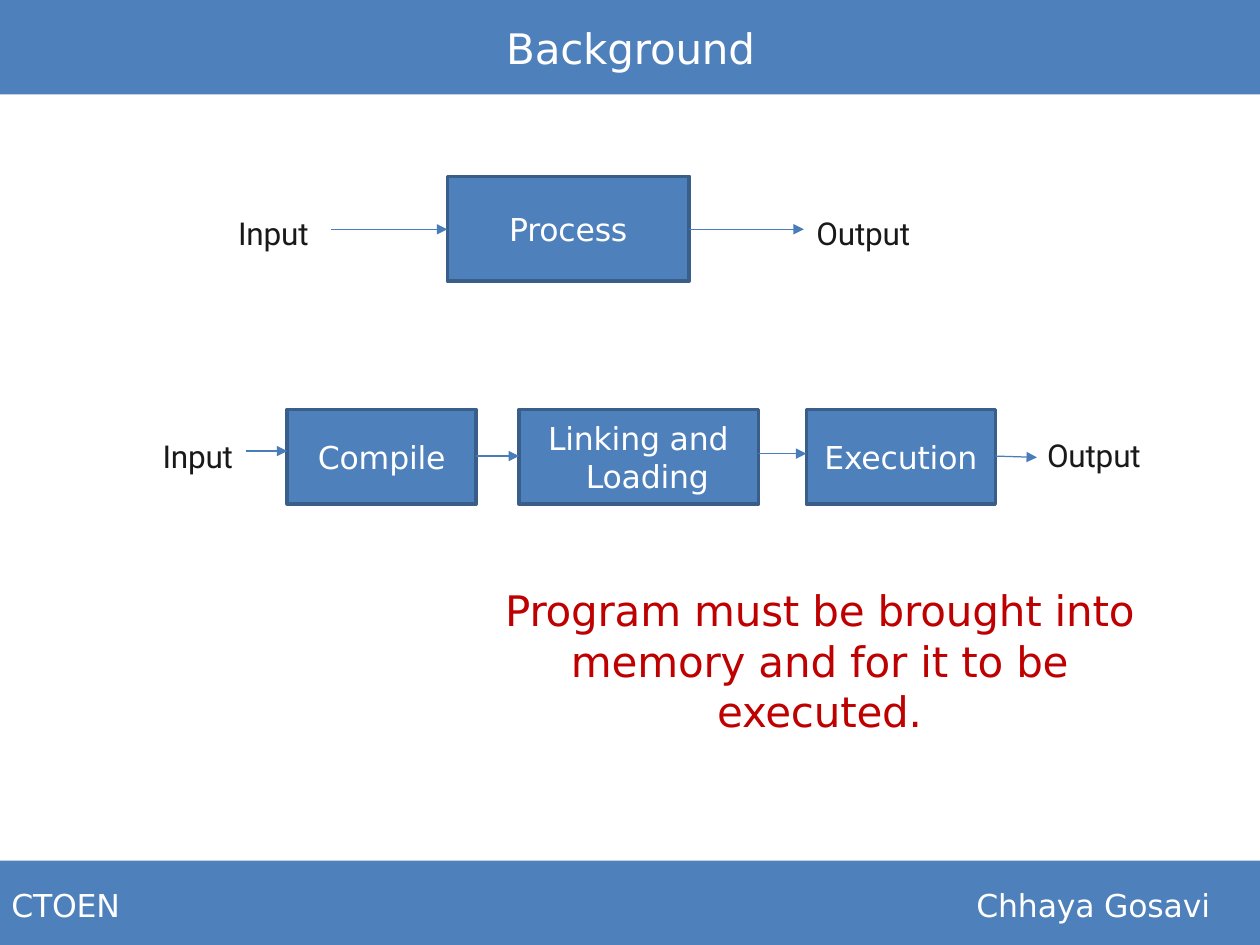
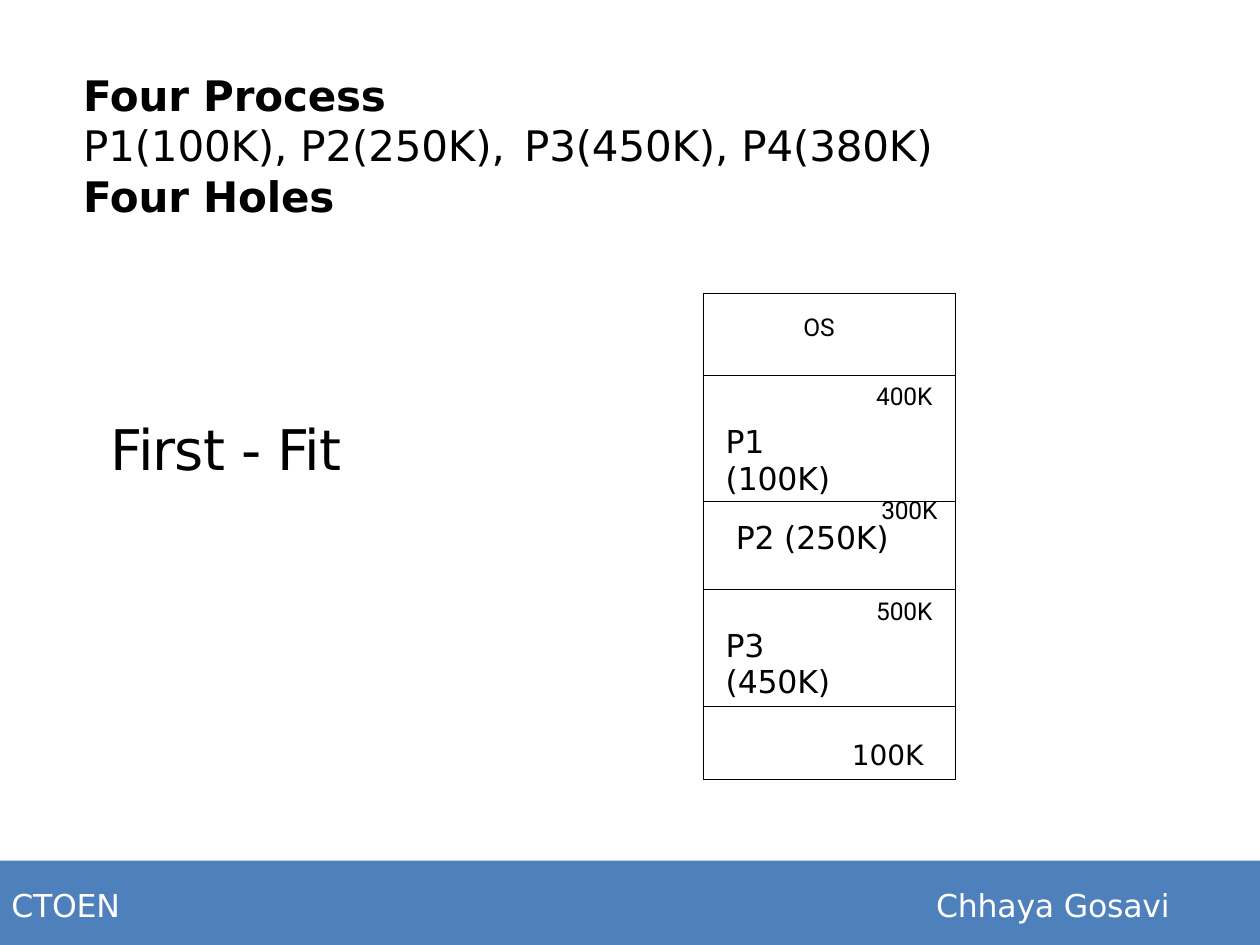
from dataclasses import dataclass

from lxml import etree
from pptx import Presentation
from pptx.dml.color import RGBColor
from pptx.enum import shapes, text
from pptx.oxml import ns
from pptx.util import Inches, Pt

LEFT, CENTER, RIGHT = text.PP_ALIGN.LEFT, text.PP_ALIGN.CENTER, text.PP_ALIGN.RIGHT


@dataclass(frozen=True)
class Theme:
    blue: str = "4E80BC"
    border: str = "395E8A"
    arrow: str = "497DBA"
    white: str = "FFFFFF"
    black: str = "000000"
    label: str = "191919"
    red: str = "BF0000"
    body_font: str = "DejaVu Sans"
    label_font: str = "Roboto"
    display: int = 32
    title: int = 24
    body: int = 18
    small: int = 16
    tag: int = 14


THEME = Theme()


# Shared helpers
def color(value):
    return RGBColor.from_string(value)


def add_xml(parent, tag, **attributes):
    element = etree.SubElement(parent, ns.qn(tag))
    for name, value in attributes.items():
        element.set(name, str(value))
    return element


def style(paragraph, size=THEME.body, fill=THEME.black, font=THEME.body_font,
          bold=False, align=LEFT, spacing=-0.1):
    paragraph.alignment = align
    for run in paragraph.runs:
        run.font.size = Pt(size)
        run.font.name = font
        run.font.bold = bold
        run.font.color.rgb = color(fill)
        run.font._element.set("spc", str(round(spacing * 100)))


def set_indent(paragraph, left, first=0):
    properties = paragraph._p.get_or_add_pPr()
    properties.set("marL", str(Inches(left)))
    properties.set("indent", str(Inches(first)))
    return properties


def clear_margins(frame, top=0):
    frame.margin_left = frame.margin_right = frame.margin_bottom = 0
    frame.margin_top = Inches(top)


def add_text(slide, box, content, wrap=False, **format):
    shape = slide.shapes.add_textbox(*map(Inches, box))
    frame = shape.text_frame
    clear_margins(frame, 0.02)
    frame.word_wrap = wrap
    frame.text = content
    for paragraph in frame.paragraphs:
        set_indent(paragraph, 0.01)
        style(paragraph, **format)
    return frame


def add_box(slide, box, content="", outlined=False):
    shape = slide.shapes.add_shape(shapes.MSO_SHAPE.RECTANGLE, *map(Inches, box))
    shape.shadow.inherit = False
    shape.fill.solid()
    shape.fill.fore_color.rgb = color(THEME.blue)
    if outlined:
        shape.line.color.rgb = color(THEME.border)
        shape.line.width = Pt(2)
    else:
        shape.line.fill.background()
    frame = shape.text_frame
    clear_margins(frame)
    frame.vertical_anchor = text.MSO_ANCHOR.MIDDLE
    if content:
        frame.text = content
        style(frame.paragraphs[0], fill=THEME.white, align=CENTER)
    return frame


def add_arrow(slide, start, end):
    connector = slide.shapes.add_connector(
        shapes.MSO_CONNECTOR.STRAIGHT, *map(Inches, start + end))
    connector.line.color.rgb = color(THEME.arrow)
    connector.line.width = Pt(0.7)
    add_xml(connector.line._get_or_add_ln(), "a:tailEnd", type="triangle")
    add_xml(connector._element.spPr, "a:effectLst")


# Bands
def add_header(slide, box, title):
    left, top, width, height = box
    add_box(slide, box)
    add_text(slide, (left, top + 0.16, width, 0.43), title,
             size=THEME.title, fill=THEME.white, align=CENTER, wrap=True)


def add_footer(slide, box, name_left):
    left, top, width, height = box
    add_box(slide, box)
    for offset, content, text_width in ((0.08, "CTOEN", 0.98),
                                        (name_left, "Chhaya Gosavi", 1.9)):
        add_text(slide, (left + offset, top + 0.18, text_width, 0.32), content,
                 fill=THEME.white)


# Flow diagrams
def add_flow(slide, box, steps, arrows, labels):
    """Steps are (offset, width, text); arrows are (start, end, y, y)."""
    left, top, width, height = box
    frames = [add_box(slide, (left + offset, top, step_width, height), content, True)
              for offset, step_width, content in steps]
    for start, end, start_y, end_y in arrows:
        add_arrow(slide, (left + start, top + start_y), (left + end, top + end_y))
    for offset, label_top, content in labels:
        add_text(slide, (left + offset, top + label_top, 0.78, 0.33), content,
                 fill=THEME.label, font=THEME.label_font)
    return frames


# Memory map
def set_borders(cell):
    properties = cell._tc.get_or_add_tcPr()
    for side in ("a:lnL", "a:lnR", "a:lnT", "a:lnB"):
        line = add_xml(properties, side, w=Pt(0.75))
        add_xml(add_xml(line, "a:solidFill"), "a:srgbClr", val=THEME.black)


def add_memory_map(slide, box, rows):
    """Rows are (height, top margin, right margin, lines)."""
    table = slide.shapes.add_table(len(rows), 1, *map(Inches, box)).table
    table.first_row = table.horz_banding = False
    for index, (height, top, right, lines) in enumerate(rows):
        table.rows[index].height = Inches(height)
        cell = table.cell(index, 0)
        set_borders(cell)
        cell.fill.background()
        cell.margin_left = cell.margin_bottom = 0
        cell.margin_top, cell.margin_right = Inches(top), Inches(right)
        frame = cell.text_frame
        frame.text = "\n".join(line[0] for line in lines)
        for paragraph, (_, indent, before, exact, format) in zip(frame.paragraphs, lines):
            set_indent(paragraph, indent)
            paragraph.space_before = Pt(before)
            if exact:
                paragraph.line_spacing = Pt(exact)
            style(paragraph, **format)


def build_background(slide):
    add_header(slide, (0, 0, 10, 0.75), "Background")
    add_footer(slide, (0, 6.83, 10, 0.67), 7.74)
    add_flow(slide, (1.88, 1.4, 5.37, 0.83),
             [(1.67, 1.92, "Process")],
             [(0.75, 1.67, 0.42, 0.42), (3.59, 4.5, 0.42, 0.42)],
             [(0, 0.28, "Input"), (4.59, 0.28, "Output")])
    frames = add_flow(slide, (1.28, 3.25, 7.8, 0.75),
                      [(1, 1.5, "Compile"), (2.84, 1.9, "Linking and\vLoading"),
                       (5.12, 1.5, "Execution")],
                      [(0.67, 1, 0.33, 0.33), (2.5, 2.84, 0.37, 0.37),
                       (4.74, 5.12, 0.35, 0.35), (6.62, 6.95, 0.37, 0.38)],
                      [(0, 0.2, "Input"), (7.02, 0.19, "Output")])
    # The second line of the linking step is stepped in
    linking = frames[1].paragraphs[0]
    linking.alignment = LEFT
    set_indent(linking, 0.53, -0.3)
    add_text(slide, (3.97, 4.62, 5.06, 1.23),
             "Program must be brought into memory and for it to be executed.",
             size=THEME.title, fill=THEME.red, align=CENTER, wrap=True)


def build_first_fit(slide):
    add_text(slide, (0.65, 0.53, 2.45, 0.43), "Four Process",
             size=THEME.title, bold=True)
    frame = add_text(slide, (0.65, 0.93, 6.88, 0.83),
                     "P1(100K), P2(250K),\tP3(450K), P4(380K)\nFour Holes",
                     size=THEME.title)
    processes, holes = frame.paragraphs
    tabs = add_xml(processes._p.get_or_add_pPr(), "a:tabLst")
    add_xml(tabs, "a:tab", pos=Inches(3.6), algn="l")
    style(holes, size=THEME.title, bold=True)

    # Memory blocks with hole sizes and the processes placed in them
    tag = dict(size=THEME.tag, font=THEME.label_font, align=RIGHT)
    add_memory_map(slide, (5.58, 2.33, 2, 3.83), [
        (0.65, 0.16, 0.16, [("OS", 0, 0, None, {**tag, "align": CENTER})]),
        (1, 0.06, 0.18, [("400K", 0, 4.6, None, tag),
                         ("P1\v(100K)", 0.18, 7.1, None, {})]),
        (0.7, 0.01, 0.14, [("300K", 0, 0.6, 13.2, tag),
                           ("P2 (250K)", 0.26, 0, 17.9, {})]),
        (0.93, 0.06, 0.18, [("500K", 0, 4.4, None, tag),
                            ("P3\v(450K)", 0.18, 1, None, {})]),
        (0.58, 0.3, 0.25, [("100K", 0, 0, 15.9,
                            dict(size=THEME.small, align=RIGHT, spacing=0))]),
    ])
    add_text(slide, (0.87, 3.27, 1.93, 0.56), "First - Fit",
             size=THEME.display, spacing=-0.5)
    add_footer(slide, (0, 6.83, 10, 0.67), 7.42)


presentation = Presentation()
presentation.slide_width, presentation.slide_height = Inches(10), Inches(7.5)
for build in (build_background, build_first_fit):
    build(presentation.slides.add_slide(presentation.slide_layouts[6]))
presentation.save("out.pptx")
